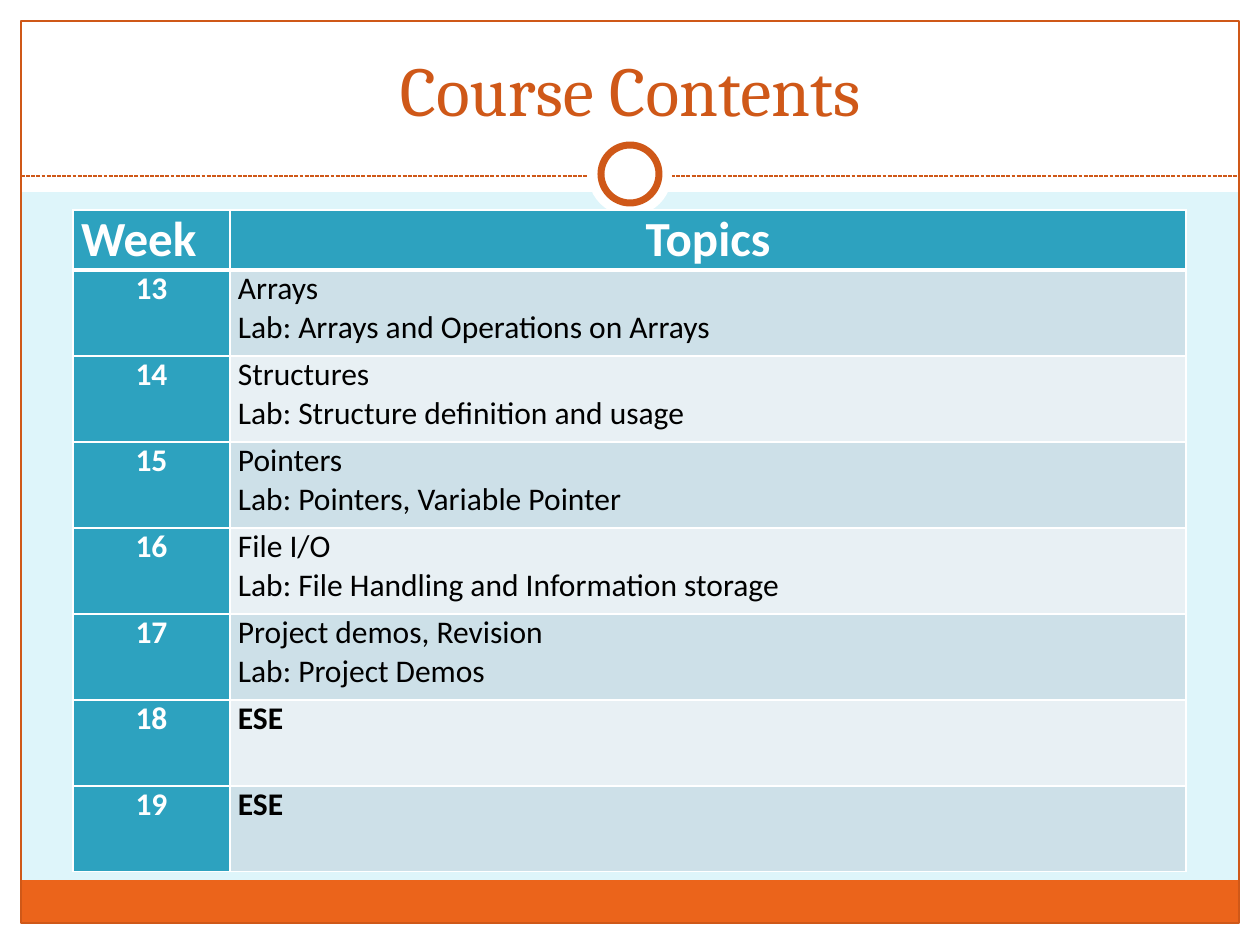
from typing import NamedTuple, Optional

from lxml.etree import SubElement
from pptx import Presentation
from pptx.dml.color import RGBColor
from pptx.enum.dml import MSO_LINE
from pptx.enum.shapes import MSO_CONNECTOR, MSO_SHAPE
from pptx.enum.text import MSO_ANCHOR, PP_ALIGN
from pptx.oxml.ns import qn
from pptx.util import Emu, Pt

EMU_PER_PX = 914400 / 126
COLORS = {
    "page": "DEF5FA", "white": "FFFFFF", "black": "000000",
    "rust": "CF5818", "orange": "EB641B", "teal": "2DA2BF",
    "band_dark": "CDE0E8", "band_light": "E8F0F4",
}


class Block(NamedTuple):
    x: int
    y: int
    w: int
    h: int
    fill: Optional[str] = None
    line: Optional[str] = None
    line_pt: float = 0.75
    kind: MSO_SHAPE = MSO_SHAPE.RECTANGLE


class Week(NamedTuple):
    number: str
    topics: list[str]
    bold: bool = False


FRAME = [
    Block(0, 924, 1260, 21, "white"),
    Block(0, 0, 1260, 192, "white"),
    Block(0, 0, 21, 945, "white"),
    Block(1239, 0, 21, 945, "white"),
    Block(21, 880, 1217, 43, "orange"),
    Block(21, 21, 1218, 902, line="rust"),
]
RING = [
    Block(588, 132, 84, 84, "white", kind=MSO_SHAPE.OVAL),
    Block(601, 145, 58, 58, "white", "rust", 4, MSO_SHAPE.OVAL),
]
WEEKS = [
    Week("13", ["Arrays", "Lab: Arrays and Operations on Arrays"]),
    Week("14", ["Structures", "Lab: Structure definition and usage"]),
    Week("15", ["Pointers", "Lab: Pointers, Variable Pointer"]),
    Week("16", ["File I/O", "Lab: File Handling and Information storage"]),
    Week("17", ["Project demos, Revision", "Lab: Project Demos"]),
    Week("18", ["ESE"], bold=True),
    Week("19", ["ESE"], bold=True),
]
COL_W = (157, 956)
HEAD_H, ROW_H = 60, 86


def px(n: int) -> Emu:
    return Emu(round(n * EMU_PER_PX))


def rgb(name: str) -> RGBColor:
    return RGBColor.from_string(COLORS[name])


def put_text(tf, lines: list[str], *, size: int, color: str, font: str = "Calibri",
             bold: bool = False, align: PP_ALIGN = PP_ALIGN.LEFT) -> None:
    for i, line in enumerate(lines):
        p = tf.add_paragraph() if i else tf.paragraphs[0]
        p.alignment = align
        r = p.add_run()
        r.text = line
        r.font.name, r.font.size, r.font.bold = font, Pt(size), bold
        r.font.color.rgb = rgb(color)


def draw_block(s, b: Block) -> None:
    sp = s.shapes.add_shape(b.kind, px(b.x), px(b.y), px(b.w), px(b.h))
    sp.shadow.inherit = False
    if b.fill:
        sp.fill.solid()
        sp.fill.fore_color.rgb = rgb(b.fill)
    else:
        sp.fill.background()
    if b.line:
        sp.line.color.rgb = rgb(b.line)
        sp.line.width = Pt(b.line_pt)
    else:
        sp.line.fill.background()


def draw_divider(s) -> None:
    cx = s.shapes.add_connector(MSO_CONNECTOR.STRAIGHT, px(21), px(176), px(1239), px(176))
    cx.line.color.rgb = rgb("rust")
    cx.line.width = Pt(0.75)
    cx.line.dash_style = MSO_LINE.SQUARE_DOT
    SubElement(cx._element.spPr, qn("a:effectLst"))


def draw_title(s) -> None:
    tf = s.shapes.add_textbox(px(42), px(32), px(1176), px(105)).text_frame
    tf.word_wrap = True
    tf.vertical_anchor = MSO_ANCHOR.BOTTOM
    put_text(tf, ["Course Contents"], size=40, color="rust", font="Cambria",
             align=PP_ALIGN.CENTER)


def style_cell(cell, fill: str, top_pt: int = 1, bottom_pt: int = 1) -> None:
    cell.margin_left = cell.margin_right = px(8)
    cell.margin_top = cell.margin_bottom = 0
    # Borders come before the fill in the cell properties
    tc_pr = cell._tc.get_or_add_tcPr()
    for side, pt in (("L", 1), ("R", 1), ("T", top_pt), ("B", bottom_pt)):
        ln = SubElement(tc_pr, qn(f"a:ln{side}"), w=str(Pt(pt)))
        SubElement(SubElement(ln, qn("a:solidFill")), qn("a:srgbClr"), val=COLORS["white"])
    cell.fill.solid()
    cell.fill.fore_color.rgb = rgb(fill)


def draw_schedule(s) -> None:
    height = HEAD_H + ROW_H * len(WEEKS)
    tbl = s.shapes.add_table(len(WEEKS) + 1, len(COL_W), px(73), px(210),
                             px(sum(COL_W)), px(height)).table
    tbl.horz_banding = False
    for col, w in zip(tbl.columns, COL_W):
        col.width = px(w)
    for i, row in enumerate(tbl.rows):
        row.height = px(ROW_H if i else HEAD_H)

    # Header row
    for c, (label, align) in enumerate((("Week", PP_ALIGN.LEFT), ("Topics", PP_ALIGN.CENTER))):
        cell = tbl.cell(0, c)
        style_cell(cell, "teal", bottom_pt=3)
        put_text(cell.text_frame, [label], size=28, color="white", bold=True, align=align)

    # One row per week, with alternating bands
    for i, week in enumerate(WEEKS, 1):
        number, topics = tbl.cell(i, 0), tbl.cell(i, 1)
        top_pt = 3 if i == 1 else 1
        style_cell(number, "teal", top_pt)
        style_cell(topics, "band_dark" if i % 2 else "band_light", top_pt)
        put_text(number.text_frame, [week.number], size=18, color="white", bold=True,
                 align=PP_ALIGN.CENTER)
        put_text(topics.text_frame, week.topics, size=18, color="black", bold=week.bold)


def main() -> None:
    prs = Presentation()
    prs.slide_width, prs.slide_height = px(1260), px(945)
    s = prs.slides.add_slide(prs.slide_layouts[6])
    s.background.fill.solid()
    s.background.fill.fore_color.rgb = rgb("page")

    # Frame, divider and ring
    for block in FRAME:
        draw_block(s, block)
    draw_divider(s)
    for block in RING:
        draw_block(s, block)

    # Content
    draw_title(s)
    draw_schedule(s)
    prs.save("out.pptx")


if __name__ == "__main__":
    main()
